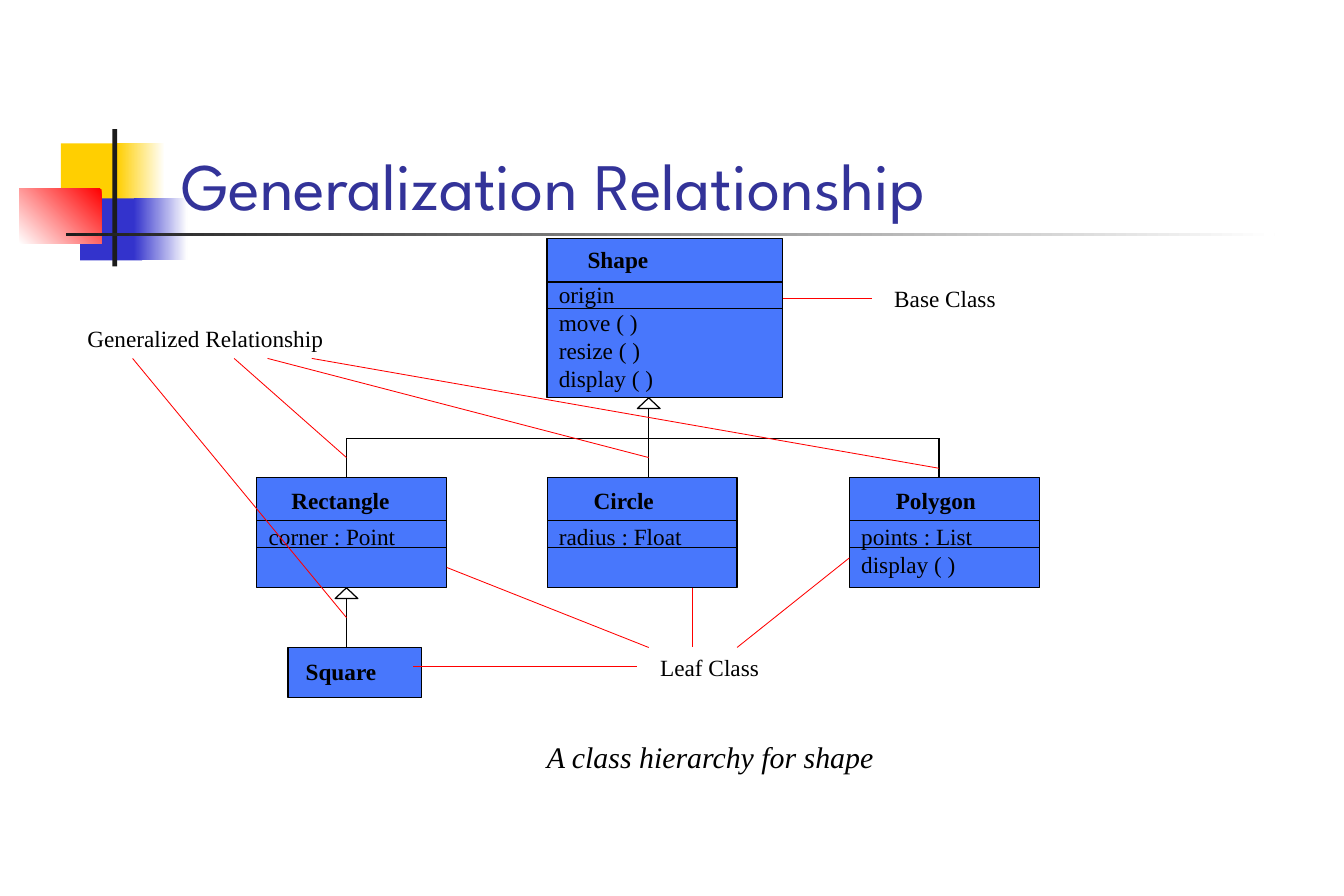
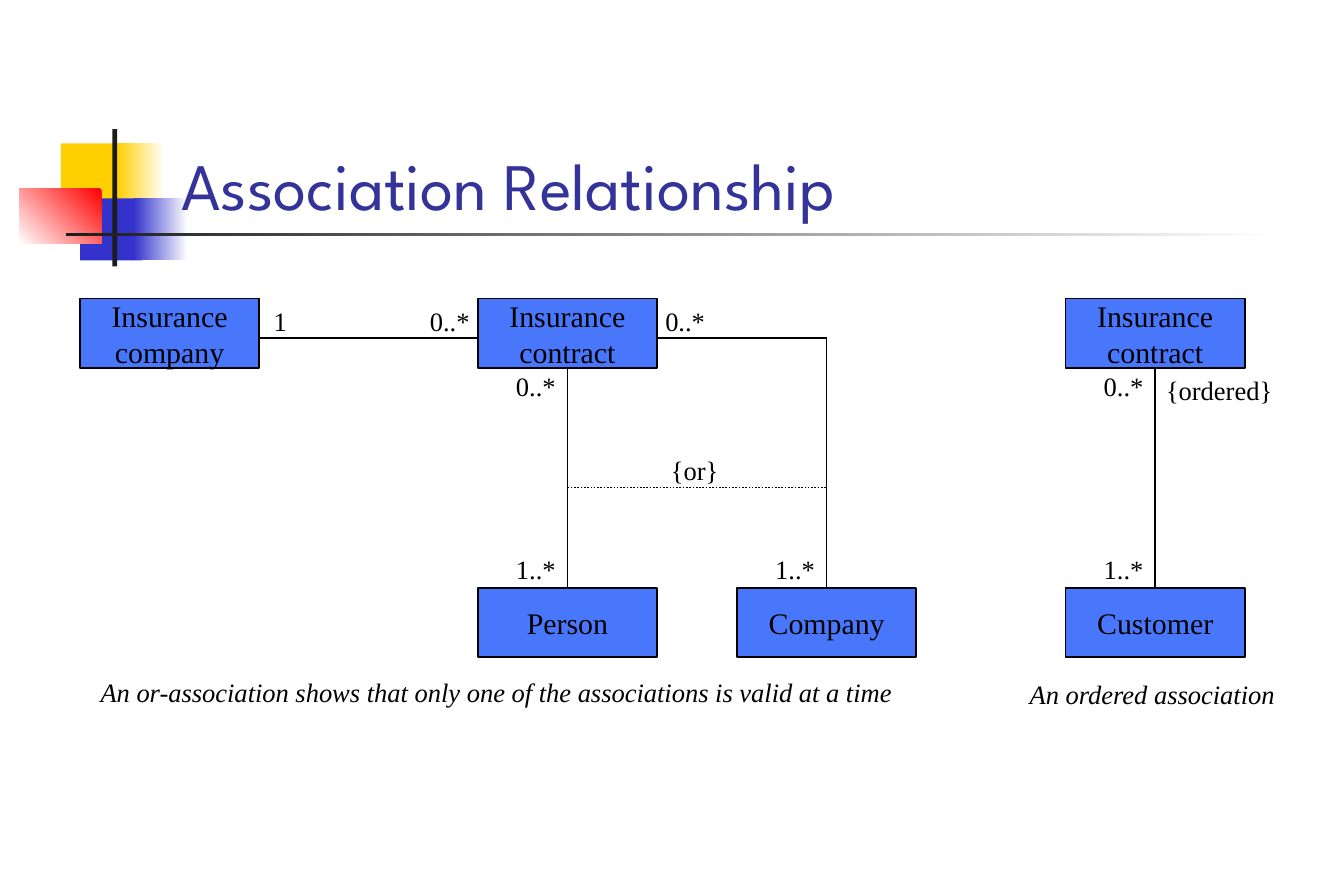
from lxml.etree import SubElement
from pptx import Presentation
from pptx.dml.color import RGBColor
from pptx.enum.dml import MSO_LINE
from pptx.enum.shapes import MSO_CONNECTOR, MSO_SHAPE
from pptx.enum.text import MSO_ANCHOR, PP_ALIGN
from pptx.oxml.ns import qn
from pptx.util import Inches, Pt

WHITE = RGBColor(0xFF, 0xFF, 0xFF)
BLACK = RGBColor(0x00, 0x00, 0x00)
CHARCOAL = RGBColor(0x1C, 0x1C, 0x1C)
YELLOW = RGBColor(0xFF, 0xCF, 0x01)
INDIGO = RGBColor(0x33, 0x33, 0xCC)
RED = RGBColor(0xFF, 0x00, 0x00)
TITLE_BLUE = RGBColor(0x33, 0x33, 0x99)
CLASS_BLUE = RGBColor(0x48, 0x77, 0xFC)

TITLE = {"name": "League Spartan", "size": Pt(40)}
CLASS_TEXT = {"name": "Times New Roman", "size": Pt(14)}
CLASS_NAME = {**CLASS_TEXT, "bold": True}
ENTITY_TEXT = {"name": "Times New Roman", "size": Pt(18)}
CAPTION = {**ENTITY_TEXT, "italic": True}
ROLE_TEXT = {"name": "Times New Roman", "size": Pt(16)}
ROLE_CAPTION = {**ROLE_TEXT, "italic": True}

# Marks of the title band: left, top, width, height, colour, fade angle (None is solid)
TITLE_MARKS = [
    (0.51, 1.2, 0.54, 0.52, YELLOW, None),
    (0.98, 1.2, 0.4, 0.52, YELLOW, 0),
    (0.67, 1.66, 0.52, 0.52, INDIGO, None),
    (1.12, 1.66, 0.45, 0.52, INDIGO, 0),
    (0.16, 1.58, 0.69, 0.46, RED, 225),
    (0.94, 1.08, 0.04, 1.15, CHARCOAL, None),
    (0.55, 1.95, 10.12, 0.03, CHARCOAL, 0),
]

LEAF_WIDTH, LEAF_HEIGHT = 1.59, 0.92
ARROW_WIDTH, ARROW_HEIGHT = 0.19, 0.09
ENTITY_WIDTH, ENTITY_HEIGHT = 1.5, 0.58
ENTITY_DROP = 2.42
ROLE_WIDTH, ROLE_HEIGHT = 0.53, 0.37


def add_box(slide, left, top, width, height, fill, line_width=None,
            preset=MSO_SHAPE.RECTANGLE):
    shape = slide.shapes.add_shape(
        preset, Inches(left), Inches(top), Inches(width), Inches(height))
    shape.shadow.inherit = False
    shape.fill.solid()
    shape.fill.fore_color.rgb = fill
    if line_width is None:
        shape.line.fill.background()
    else:
        shape.line.color.rgb = BLACK
        shape.line.width = Pt(line_width)
    return shape


def add_line(slide, start, end, color=BLACK, width=0.75, dash=None):
    points = [Inches(value) for value in (*start, *end)]
    line = slide.shapes.add_connector(MSO_CONNECTOR.STRAIGHT, *points)
    for name, value in {"width": Pt(width), "dash_style": dash}.items():
        setattr(line.line, name, value)
    line.line.color.rgb = color
    SubElement(line._element.spPr, qn("a:effectLst"))


def format_paragraph(paragraph, text, font, color=BLACK, align=PP_ALIGN.CENTER):
    paragraph.text = text
    paragraph.alignment = align
    for name, value in font.items():
        setattr(paragraph.font, name, value)
    paragraph.font.color.rgb = color


def fill_text(frame, lines, font, anchor=MSO_ANCHOR.MIDDLE):
    """Write centred lines without wrapping."""
    frame.word_wrap = False
    frame.vertical_anchor = anchor
    for index, text in enumerate(lines):
        paragraph = frame.add_paragraph() if index else frame.paragraphs[0]
        format_paragraph(paragraph, text, font)


def add_label(slide, left, top, width, height, text, font, anchor=MSO_ANCHOR.TOP):
    label = slide.shapes.add_textbox(
        Inches(left), Inches(top), Inches(width), Inches(height))
    fill_text(label.text_frame, [text], font, anchor)


def add_title_band(slide, title):
    for left, top, width, height, color, angle in TITLE_MARKS:
        mark = add_box(slide, left, top, width, height, color)
        if angle is not None:
            mark.fill.gradient()
            mark.fill.gradient_angle = angle
            for stop, stop_color in zip(mark.fill.gradient_stops, (color, WHITE)):
                stop.color.rgb = stop_color
    box = slide.shapes.add_textbox(
        Inches(1.42), Inches(0.67), Inches(9.59), Inches(1.25))
    box.text_frame.word_wrap = True
    box.text_frame.vertical_anchor = MSO_ANCHOR.BOTTOM
    format_paragraph(box.text_frame.paragraphs[0], title, TITLE, TITLE_BLUE, PP_ALIGN.LEFT)


def add_class(slide, left, top, width, height, name, indent, members, inset=0.07):
    """Draw a class box with compartments for name, attribute and operations."""
    frame = add_box(slide, left, top, width, height, CLASS_BLUE, 0.75).text_frame
    frame.word_wrap = True
    frame.vertical_anchor = MSO_ANCHOR.TOP
    frame.margin_top = Inches(inset)
    heading = frame.paragraphs[0]
    format_paragraph(heading, name, CLASS_NAME, align=PP_ALIGN.LEFT)
    heading._p.get_or_add_pPr().set("marL", str(Inches(indent)))
    for index, member in enumerate(members):
        paragraph = frame.add_paragraph()
        format_paragraph(paragraph, member, CLASS_TEXT, align=PP_ALIGN.LEFT)
        if index == 0:
            paragraph.space_before = Pt(4.8)
    if members:
        for offset in (0.36, 0.58):
            add_line(slide, (left, top + offset), (left + width, top + offset))


def add_generalization(slide, x, top, bottom):
    """Draw an upward hollow arrow whose tip is at (x, top)."""
    add_box(slide, x - ARROW_WIDTH / 2, top, ARROW_WIDTH, ARROW_HEIGHT,
            WHITE, 0.75, MSO_SHAPE.ISOSCELES_TRIANGLE)
    add_line(slide, (x, top + ARROW_HEIGHT), (x, bottom))


def add_class_hierarchy(slide, left, top):
    """Draw the shape hierarchy; left is the first leaf, top is the base class."""
    leaf_top, branch_y, base_bottom = top + 2, top + 1.67, top + 1.33
    leaf_bottom, square_top = leaf_top + LEAF_HEIGHT, top + 3.42
    columns = [left, left + 2.43, left + 4.96]
    stems = [left + 0.75, left + 3.28, left + 5.71]

    add_class(slide, columns[1], top, 1.97, 1.33, "Shape", 0.24,
              ["origin", "move ( )", "resize ( )", "display ( )"], 0.05)
    add_class(slide, left + 0.26, square_top, 1.12, 0.42, "Square", 0.05, [], 0.08)
    leaves = [
        ("Rectangle", 0.19, ["corner : Point"]),
        ("Circle", 0.29, ["radius : Float"]),
        ("Polygon", 0.29, ["points : List", "display ( )"]),
    ]
    for column, (name, indent, members) in zip(columns, leaves):
        add_class(slide, column, leaf_top, LEAF_WIDTH, LEAF_HEIGHT, name, indent, members)

    for stem in (stems[0], stems[2]):
        add_line(slide, (stem, branch_y), (stem, leaf_top))
    add_line(slide, (stems[0], branch_y), (stems[2], branch_y))
    add_generalization(slide, stems[1], base_bottom, leaf_top)
    add_generalization(slide, stems[0], leaf_bottom, square_top)

    notes = [
        ("Leaf Class", left + 3.18, square_top, 1.22),
        ("Base Class", left + 5.15, top + 0.33, 1.22),
        ("Generalized Relationship", left - 1.63, top + 0.67, 2.4),
    ]
    for text, note_left, note_top, width in notes:
        add_label(slide, note_left, note_top, width, 0.33, text, CLASS_TEXT,
                  MSO_ANCHOR.MIDDLE)

    note_bottom = top + 1
    pointers = [
        ((left + LEAF_WIDTH, top + 2.75), (stems[1], square_top)),
        ((left + 3.65, leaf_bottom), (left + 3.65, square_top)),
        ((columns[2], top + 2.67), (columns[1] + LEAF_WIDTH, square_top)),
        ((left + 1.31, top + 3.58), (left + 3.18, top + 3.58)),
        ((columns[1] + 1.97, top + 0.5), (left + 5.15, top + 0.5)),
        ((left - 0.19, note_bottom), (stems[0], top + 1.83)),
        ((left + 0.09, note_bottom), (stems[1], top + 1.83)),
        ((left + 0.46, note_bottom), (stems[2], top + 1.92)),
        ((left - 1.04, note_bottom), (stems[0], top + 3.17)),
    ]
    for start, end in pointers:
        add_line(slide, start, end, RED, 0.5)
    add_label(slide, left + 2.22, top + 4.13, 3.15, 0.4, "A class hierarchy for shape", CAPTION)


def add_entity(slide, left, top, *lines):
    entity = add_box(slide, left, top, ENTITY_WIDTH, ENTITY_HEIGHT, CLASS_BLUE, 1)
    fill_text(entity.text_frame, lines, ENTITY_TEXT)


def add_role(slide, left, top, text, width=ROLE_WIDTH):
    add_label(slide, left, top, width, ROLE_HEIGHT, text, ROLE_TEXT)


def add_vertical_association(slide, left, top, target):
    """Draw a contract above its target, joined by a line with both counts."""
    x, target_top = left + ENTITY_WIDTH / 2, top + ENTITY_DROP
    add_entity(slide, left, top, "Insurance", "contract")
    add_entity(slide, left, target_top, target)
    add_line(slide, (x, top + ENTITY_HEIGHT), (x, target_top), width=1)
    add_role(slide, x - ROLE_WIDTH, top + 0.55, "0..*")
    add_role(slide, x - ROLE_WIDTH, target_top - 0.34, "1..*")


def add_or_association(slide, left, top):
    contract, company = left + 3.33, left + 5.5
    person_x, company_x = contract + ENTITY_WIDTH / 2, company + ENTITY_WIDTH / 2
    line_y, or_y, bottom = top + 0.33, top + 1.58, top + ENTITY_DROP
    contract_right = contract + ENTITY_WIDTH

    add_entity(slide, left, top, "Insurance", "company")
    add_vertical_association(slide, contract, top, "Person")
    add_entity(slide, company, bottom, "Company")
    for start, end in [
        ((left + ENTITY_WIDTH, line_y), (contract, line_y)),
        ((contract_right, line_y), (company_x, line_y)),
        ((company_x, line_y), (company_x, bottom)),
    ]:
        add_line(slide, start, end, width=1)
    add_line(slide, (person_x, or_y), (company_x, or_y), width=1, dash=MSO_LINE.ROUND_DOT)

    add_role(slide, left + 1.52, top, "1", 0.31)
    add_role(slide, contract - 0.5, top, "0..*")
    add_role(slide, contract_right - 0.03, top, "0..*")
    add_role(slide, company_x - ROLE_WIDTH, bottom - 0.34, "1..*")
    add_role(slide, left + 4.7, top + 1.25, "{or}", 0.89)
    add_label(slide, left - 0.03, top + 3.11, 7.03, ROLE_HEIGHT,
              "An or-association shows that only one of the associations is valid at a time",
              ROLE_CAPTION)


def add_ordered_association(slide, left, top):
    add_vertical_association(slide, left, top, "Customer")
    add_role(slide, left + 0.69, top + 0.58, "{ordered}", 1.19)
    add_label(slide, left - 0.51, top + 3.13, 2.47, ROLE_HEIGHT,
              "An ordered association", ROLE_CAPTION)


def add_titled_slide(presentation, title):
    slide = presentation.slides.add_slide(presentation.slide_layouts[6])
    add_title_band(slide, title)
    return slide


def main():
    presentation = Presentation()
    presentation.slide_width = Inches(11.25)
    presentation.slide_height = Inches(7.5)

    generalization = add_titled_slide(presentation, "Generalization Relationship")
    add_class_hierarchy(generalization, 2.15, 2)

    association = add_titled_slide(presentation, "Association Relationship")
    add_or_association(association, 0.67, 2.5)
    add_ordered_association(association, 8.92, 2.5)

    presentation.save("out.pptx")


if __name__ == "__main__":
    main()
